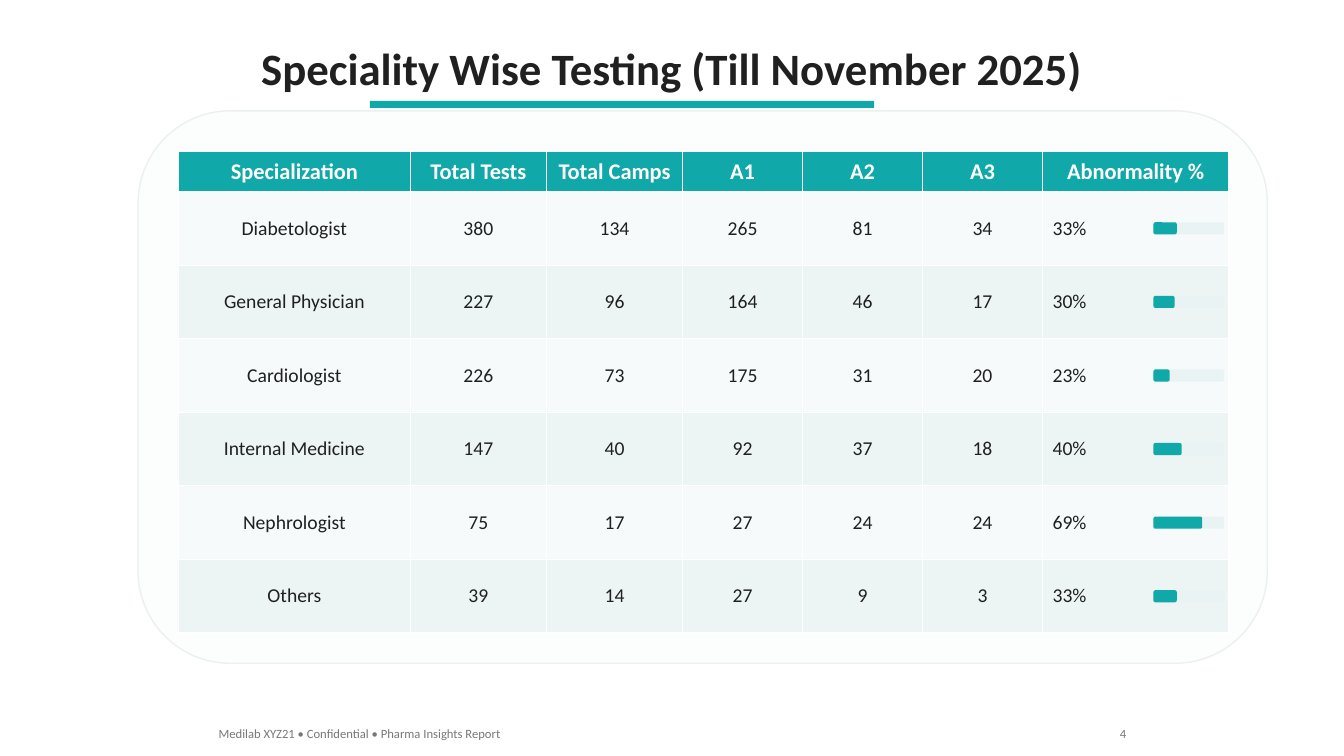
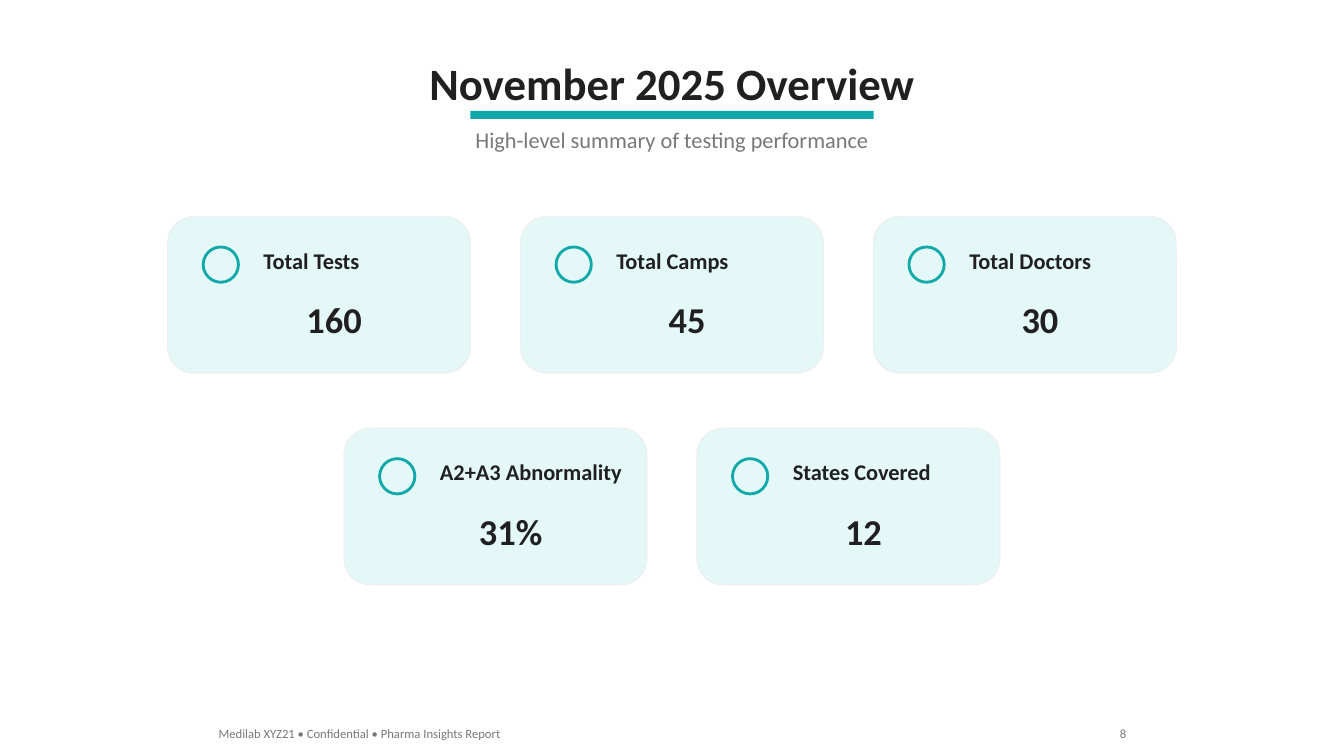
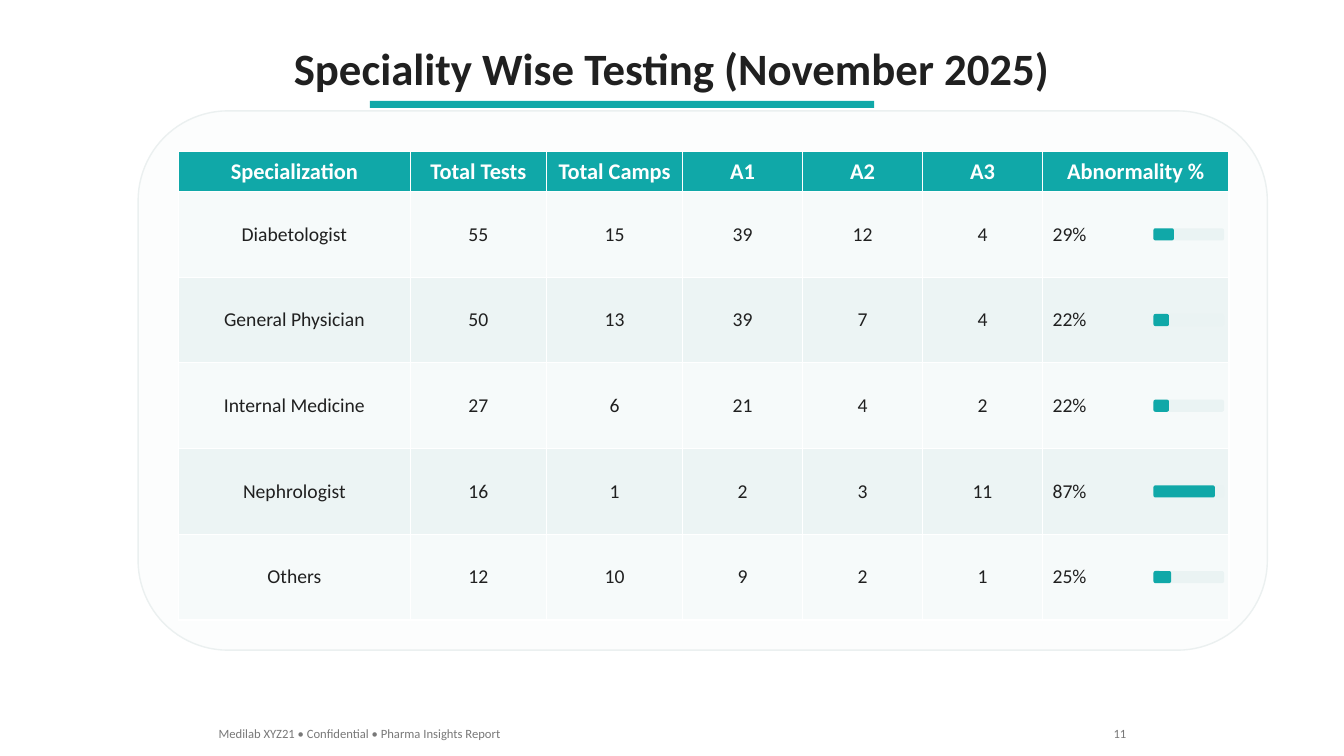
"""Builds three slides of a specialty testing report: two tables and one overview."""
from dataclasses import dataclass

from pptx import Presentation
from pptx.dml.color import RGBColor as Color
from pptx.enum.shapes import MSO_SHAPE as Shape
from pptx.enum.text import MSO_ANCHOR as Anchor, MSO_AUTO_SIZE as AutoSize, PP_ALIGN as Align
from pptx.util import Inches, Pt


@dataclass(frozen=True)
class Theme:
    font: str = "Calibri"
    accent: str = "10A8A8"
    ink: str = "202020"
    muted: str = "787878"
    white: str = "FFFFFF"
    outline: str = "EBF0F0"
    panel: str = "FCFDFD"
    card: str = "E4F8F8"
    track: str = "EAF3F3"
    bands: tuple = ("F6FAFA", "ECF4F4")
    title_size: int = 32
    value_size: int = 26
    label_size: int = 16
    cell_size: int = 14
    footer_size: int = 9


THEME = Theme()
WIDTH, HEIGHT = 13.33, 7.5
FOOTER = "Medilab XYZ21 • Confidential • Pharma Insights Report"

HEADERS = ("Specialization", "Total Tests", "Total Camps", "A1", "A2", "A3", "Abnormality %")
COLUMN_WIDTHS = (2.3, 1.35, 1.35, 1.19, 1.19, 1.19, 1.85)
TABLE_LEFT, TABLE_TOP, HEADER_HEIGHT = 1.77, 1.5, 0.4
PANEL_PADDING = 0.4
BAR_WIDTH, BAR_HEIGHT, BAR_INSET = 0.7, 0.12, 0.05

TILL_NOVEMBER = (
    ("Diabetologist", 380, 134, 265, 81, 34, 33),
    ("General Physician", 227, 96, 164, 46, 17, 30),
    ("Cardiologist", 226, 73, 175, 31, 20, 23),
    ("Internal Medicine", 147, 40, 92, 37, 18, 40),
    ("Nephrologist", 75, 17, 27, 24, 24, 69),
    ("Others", 39, 14, 27, 9, 3, 33),
)
NOVEMBER = (
    ("Diabetologist", 55, 15, 39, 12, 4, 29),
    ("General Physician", 50, 13, 39, 7, 4, 22),
    ("Internal Medicine", 27, 6, 21, 4, 2, 22),
    ("Nephrologist", 16, 1, 2, 3, 11, 87),
    ("Others", 12, 10, 9, 2, 1, 25),
)
OVERVIEW_ROWS = (
    (("Total Tests", "160"), ("Total Camps", "45"), ("Total Doctors", "30")),
    (("A2+A3 Abnormality", "31%"), ("States Covered", "12")),
)
CARD_WIDTH, CARD_HEIGHT, CARD_GAP = 3, 1.55, 0.5
CARDS_TOP, CARD_ROW_STEP = 2.15, 2.1


def box(left, top, width, height):
    return [Inches(length) for length in (left, top, width, height)]


def write(frame, text, size, color, bold=False, align=Align.LEFT):
    paragraph = frame.paragraphs[0]
    paragraph.alignment = align
    run = paragraph.add_run()
    run.text = str(text)
    font = run.font
    font.name, font.size, font.bold = THEME.font, Pt(size), bold
    font.color.rgb = Color.from_string(color)


def add_text(slide, area, text, size, color, bold=False, align=Align.LEFT):
    frame = slide.shapes.add_textbox(*box(*area)).text_frame
    frame.word_wrap = True
    write(frame, text, size, color, bold, align)


def add_block(slide, kind, area, fill=None, line=None, line_width=1):
    shape = slide.shapes.add_shape(kind, *box(*area))
    shape.shadow.inherit = False
    if fill:
        shape.fill.solid()
        shape.fill.fore_color.rgb = Color.from_string(fill)
    else:
        shape.fill.background()
    if line:
        shape.line.color.rgb = Color.from_string(line)
        shape.line.width = Pt(line_width)
    else:
        shape.line.fill.background()


def add_base(presentation, title, title_top, rule, page):
    slide = presentation.slides.add_slide(presentation.slide_layouts[5])
    add_block(slide, Shape.RECTANGLE, rule, THEME.accent)
    heading = slide.shapes.title
    heading.left, heading.top, heading.width, heading.height = box(
        (WIDTH - 10) / 2, title_top, 10, 0.64)
    frame = heading.text_frame
    frame.auto_size, frame.vertical_anchor = AutoSize.NONE, Anchor.MIDDLE
    write(frame, title, THEME.title_size, THEME.ink, True, Align.CENTER)
    add_text(slide, (2.07, 7.15, 4, 0.25), FOOTER, THEME.footer_size, THEME.muted)
    add_text(slide, (10.27, 7.15, 1, 0.25), page, THEME.footer_size, THEME.muted,
             align=Align.RIGHT)
    return slide


def fill_cell(cell, text, fill, size, color, bold, align):
    cell.fill.solid()
    cell.fill.fore_color.rgb = Color.from_string(fill)
    cell.vertical_anchor = Anchor.MIDDLE
    write(cell.text_frame, text, size, color, bold, align)


def add_table_slide(presentation, title, records, row_height, page):
    slide = add_base(presentation, title, 0.35, (3.67, 1, 5, 0.07), page)
    table_width = sum(COLUMN_WIDTHS)
    table_height = HEADER_HEIGHT + row_height * len(records)
    add_block(slide, Shape.ROUNDED_RECTANGLE,
              (TABLE_LEFT - PANEL_PADDING, TABLE_TOP - PANEL_PADDING, 11.2, table_height + 0.7),
              THEME.panel, THEME.outline)
    table = slide.shapes.add_table(
        len(records) + 1, len(HEADERS),
        *box(TABLE_LEFT, TABLE_TOP, table_width, table_height)).table
    for column, width in zip(table.columns, COLUMN_WIDTHS):
        column.width = Inches(width)
    table.rows[0].height = Inches(HEADER_HEIGHT)
    for column, header in enumerate(HEADERS):
        fill_cell(table.cell(0, column), header, THEME.accent, THEME.label_size,
                  THEME.white, True, Align.CENTER)

    bar_left = TABLE_LEFT + table_width - BAR_INSET - BAR_WIDTH
    for index, (*values, percent) in enumerate(records):
        table.rows[index + 1].height = Inches(row_height)
        for column, value in enumerate((*values, f"{percent}%")):
            align = Align.CENTER if column < len(values) else Align.LEFT
            fill_cell(table.cell(index + 1, column), value, THEME.bands[index % 2],
                      THEME.cell_size, THEME.ink, False, align)
        bar_top = TABLE_TOP + HEADER_HEIGHT + (index + 0.5) * row_height - BAR_HEIGHT / 2
        for share, color in ((1, THEME.track), (percent / 100, THEME.accent)):
            add_block(slide, Shape.ROUNDED_RECTANGLE,
                      (bar_left, bar_top, BAR_WIDTH * share, BAR_HEIGHT), color)


def add_card(slide, left, top, label, value):
    add_block(slide, Shape.ROUNDED_RECTANGLE, (left, top, CARD_WIDTH, CARD_HEIGHT),
              THEME.card, THEME.outline)
    add_block(slide, Shape.OVAL, (left + 0.35, top + 0.3, 0.35, 0.35),
              line=THEME.accent, line_width=2)
    add_text(slide, (left + 0.85, top + 0.25, 2.15, 0.37), label,
             THEME.label_size, THEME.ink, True)
    add_text(slide, (left + 0.8, top + 0.75, 1.7, 0.54), value,
             THEME.value_size, THEME.ink, True, Align.CENTER)


def add_overview_slide(presentation, page):
    slide = add_base(presentation, "November 2025 Overview", 0.5,
                     ((WIDTH - 4) / 2, 1.1, 4, 0.08), page)
    add_text(slide, ((WIDTH - 6) / 2, 1.2, 6, 0.37), "High-level summary of testing performance",
             THEME.label_size, THEME.muted, align=Align.CENTER)
    step = CARD_WIDTH + CARD_GAP
    for row, cards in enumerate(OVERVIEW_ROWS):
        first_left = (WIDTH - len(cards) * step + CARD_GAP) / 2
        for column, (label, value) in enumerate(cards):
            add_card(slide, first_left + column * step, CARDS_TOP + row * CARD_ROW_STEP,
                     label, value)


def main():
    presentation = Presentation()
    presentation.slide_width, presentation.slide_height = Inches(WIDTH), Inches(HEIGHT)
    add_table_slide(presentation, "Speciality Wise Testing (Till November 2025)",
                    TILL_NOVEMBER, 0.73, 4)
    add_overview_slide(presentation, 8)
    add_table_slide(presentation, "Speciality Wise Testing (November 2025)", NOVEMBER, 0.85, 11)
    presentation.save("out.pptx")


if __name__ == "__main__":
    main()
